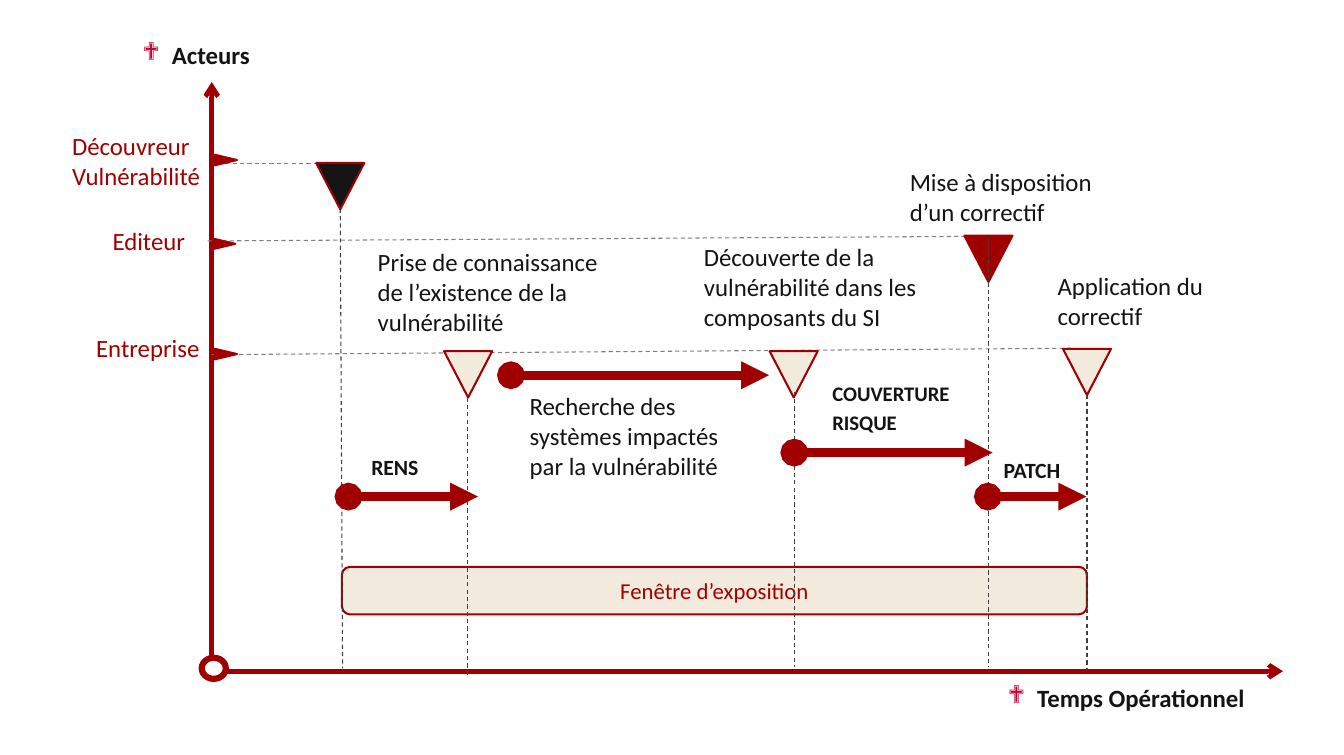
from pptx import Presentation
from pptx.util import Cm, Pt
from pptx.dml.color import RGBColor as RGB
from pptx.enum.dml import MSO_LINE as Dash
from pptx.enum.shapes import MSO_SHAPE as Form, MSO_CONNECTOR as Wire
from pptx.enum.text import PP_ALIGN as Align, MSO_ANCHOR as Anchor
from pptx.oxml.ns import qn
from lxml.etree import SubElement as Sub

hues = {"red": "A00000", "black": "141414", "cream": "F3EADE", "white": "FFFFFF",
        "rose": "C80032", "dark": "404040", "grey": "808080"}

deck = Presentation()
deck.slide_width, deck.slide_height = Cm(9.02 * 2.54), Cm(5.07 * 2.54)
slide = deck.slides.add_slide(deck.slide_layouts[6])
parts = slide.shapes


def write(text, box=None, shape=None, size=12, hue="black", bold=False,
          align=Align.LEFT, anchor=Anchor.TOP, mark=None):
    shape = shape or parts.add_textbox(*map(Cm, box))
    frame = shape.text_frame
    frame.word_wrap = True
    frame.vertical_anchor = anchor
    frame.margin_left = frame.margin_right = Cm(0.18)
    frame.margin_top = frame.margin_bottom = Cm(0.1)
    frame.text = text
    for para in frame.paragraphs:
        para.alignment = align
        para.space_before = Pt(size * 0.2)
        font = para.runs[0].font
        font.name, font.size, font.bold = "Calibri", Pt(size), bold
        font.color.rgb = RGB.from_string(hues[hue])
        if mark:
            props = para._p.get_or_add_pPr()
            props.set("marL", str(Cm(0.5)))
            props.set("indent", str(-Cm(0.5)))
            tint = Sub(props, qn("a:buClr"))
            Sub(tint, qn("a:srgbClr"), val=hues["rose"])
            Sub(props, qn("a:buFont"), typeface="Wingdings")
            Sub(props, qn("a:buChar"), char=mark)


def draw(kind, box, fill, width=1, turn=0):
    shape = parts.add_shape(kind, *map(Cm, box))
    shape.shadow.inherit = False
    shape.fill.solid()
    shape.fill.fore_color.rgb = RGB.from_string(hues[fill])
    shape.line.color.rgb = RGB.from_string(hues["red"])
    shape.line.width = Pt(width)
    shape.rotation = turn
    return shape


axes = [(3.63, 11.45, 21.87, 11.45), (3.61, 11.4, 3.61, 1.4)]
levels = [(5.8, 2.79, 3.63, 2.79), (16.84, 4.03, 3.51, 4.11), (18.26, 5.94, 3.61, 6.05)]
drops = [(5.8, 3.56, 5.84, 11.4), (7.97, 6.78, 7.97, 11.55), (13.54, 6.68, 13.54, 11.38),
         (16.85, 4.06, 16.85, 11.38), (18.53, 6.73, 18.53, 11.43)]
steps = [(8.71, 6.4, 13.11, 6.4), (5.94, 8.47, 8.15, 8.47),
         (13.54, 7.72, 16.92, 7.72), (16.84, 8.47, 18.52, 8.47)]
wires = [(axes, "red", 2.25, None, "arrow"), (levels, "grey", 0.5, None, None),
         (drops, "dark", 0.5, None, None), (steps, "red", 4.5, "oval", "triangle")]

span = draw(Form.ROUNDED_RECTANGLE, (5.83, 9.67, 12.7, 0.81), "cream")
write("Fenêtre d’exposition", shape=span, size=11, hue="red",
      align=Align.CENTER, anchor=Anchor.MIDDLE)

for group, hue, width, head, tail in wires:
    if group is drops:
        for mid, top, fill in [(5.8, 2.78, "black"), (16.85, 4.02, "red"), (7.98, 5.99, "cream"),
                               (13.53, 5.99, "cream"), (18.53, 5.95, "cream")]:
            draw(Form.ISOSCELES_TRIANGLE, (mid - 0.41, top, 0.82, 0.79), fill, turn=180)
    for ends in group:
        wire = parts.add_connector(Wire.STRAIGHT, *map(Cm, ends))
        wire.line.color.rgb = RGB.from_string(hues[hue])
        wire.line.width = Pt(width)
        if not tail:
            wire.line.dash_style = Dash.DASH
        stroke = wire.line._get_or_add_ln()
        for tag, tip in [("a:headEnd", head), ("a:tailEnd", tail)]:
            if tip:
                Sub(stroke, qn(tag), type=tip)
        Sub(wire._element.spPr, qn("a:effectLst"))

draw(Form.OVAL, (3.44, 11.22, 0.41, 0.36), "white", width=3)
for left, top in [(3.76, 2.54), (3.73, 3.97), (3.76, 5.85)]:
    draw(Form.ISOSCELES_TRIANGLE, (left, top, 0.18, 0.38), "red", turn=90)

for text, box in [("Acteurs", (1.29, 0.58, 3.15, 1.35)),
                  ("Temps Opérationnel", (14.26, 11.54, 7.14, 0.74))]:
    write(text, box, bold=True, align=Align.RIGHT, mark="❖")

for text, box in [("Découvreur Vulnérabilité", (1.05, 2.13, 3.68, 0.64)),
                  ("Editeur", (1.74, 3.75, 2.59, 0.64)),
                  ("Entreprise", (1.46, 5.58, 2.59, 0.64))]:
    write(text, box, hue="red")

for text, box in [
        ("Prise de connaissance de l’existence de la vulnérabilité", (6.26, 4.11, 4.57, 2.13)),
        ("Recherche des systèmes impactés par la vulnérabilité", (8.85, 6.57, 3.86, 1.6)),
        ("Découverte de la vulnérabilité dans les composants du SI", (11.82, 4.03, 4.24, 2.06)),
        ("Mise à disposition d’un correctif", (15.33, 2.74, 3.86, 2.06)),
        ("Application du correctif", (17.85, 4.52, 3.86, 2.06))]:
    write(text, box)

for text, box, size in [("RENS", (6.15, 7.64, 4.57, 0.65), 10.5),
                        ("PATCH", (16.93, 7.69, 2.26, 0.65), 10.5),
                        ("COUVERTURE\nRISQUE", (14.01, 6.39, 2.51, 1.12), 10)]:
    write(text, box, size=size, bold=True)

deck.save("out.pptx")
